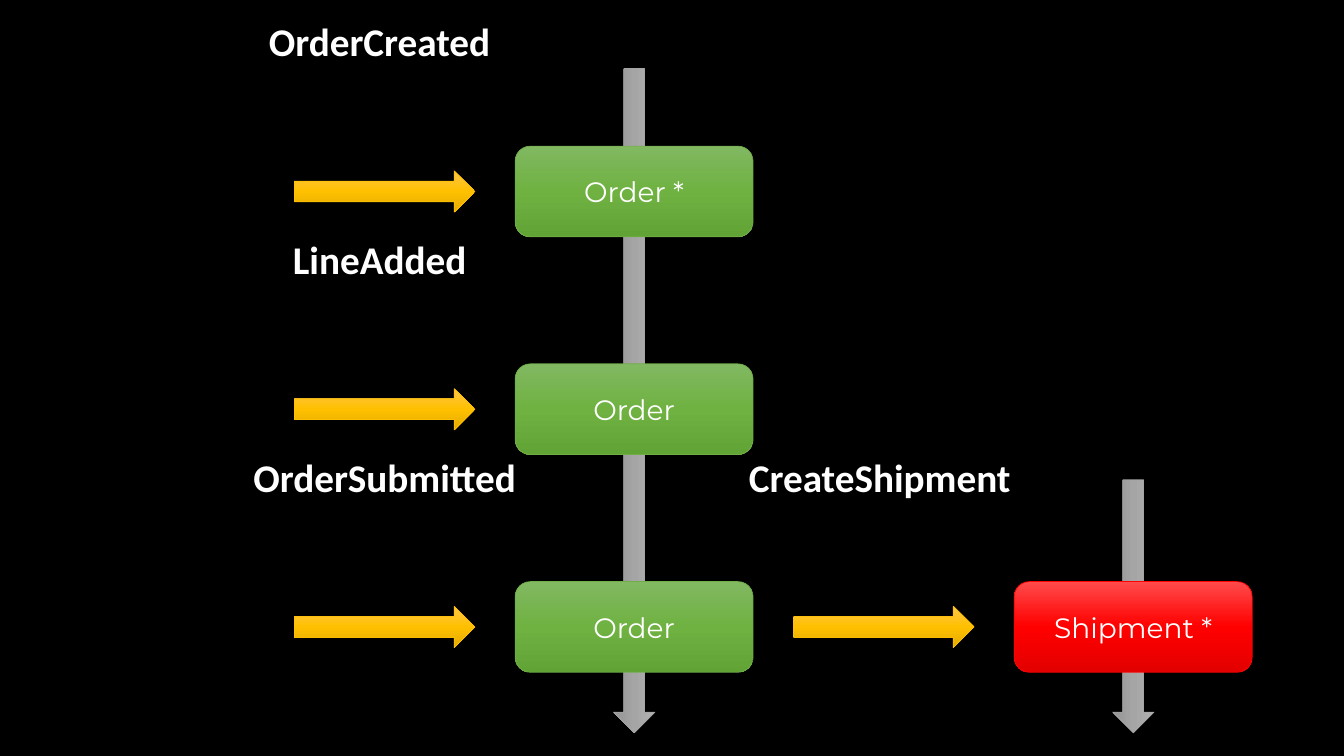
from lxml import etree
from pptx import Presentation
from pptx import util as u
from pptx.dml import color
from pptx.enum import shapes, text
from pptx.oxml import ns

HUES = {
    "back": "000000",
    "text": "FFFFFF",
    "life": ("AFAFAF", "A5A5A5", "939393", "A5A5A5"),
    "event": ("FFC64B", "FFC000", "E3AB00", "FFC000"),
    "order": ("81B861", "6FB242", "62A336", "70AD47"),
    "ship": ("FF4B4B", "FF0000", "E30000", "FF0000"),
}
WIDE, HIGH = 13.33, 7.5
COL, ROW = 4.95, 2.16  # grid pitch
LEFT, TOP = 6.29, 1.9  # centre of the first box
BOX = (2.36, 0.9)
ARROW = (1.79, 0.41)
FOOT = 7.27  # tip of the lifelines

# column, row, event, width and shift of its label, state, hue
STEPS = (
    (0, 0, "OrderCreated", 2.46, -0.05, "Order *", "order"),
    (0, 1, "LineAdded", 2.46, -0.05, "Order", "order"),
    (0, 2, "OrderSubmitted", 2.91, 0, "Order", "order"),
    (1, 2, "CreateShipment", 2.91, -0.04, "Shipment *", "ship"),
)


def rgb(name):
    return color.RGBColor.from_string(HUES[name])


def frame(x, y, size):
    """Turn a centre and a size into left, top, width and height."""
    wide, high = size
    return [u.Inches(n) for n in (x - wide / 2, y - high / 2, wide, high)]


def shade(shape, hue):
    """Give a vertical three-stop gradient and a thin line."""
    *stops, edge = HUES[hue]
    shape.shadow.inherit = False
    shape.line.color.rgb = color.RGBColor.from_string(edge)
    shape.line.width = u.Pt(0.5)
    shape.fill.gradient()
    grad = shape._element.spPr.find(ns.qn("a:gradFill"))
    for child in list(grad):
        grad.remove(child)
    grad.set("rotWithShape", "1")
    holder = etree.SubElement(grad, ns.qn("a:gsLst"))
    for i, stop in enumerate(stops):
        part = etree.SubElement(holder, ns.qn("a:gs"), pos=str(i * 50000))
        etree.SubElement(part, ns.qn("a:srgbClr"), val=stop)
    etree.SubElement(grad, ns.qn("a:lin"), ang="5400000", scaled="0")


def write(shape, words, **style):
    para = shape.text_frame.paragraphs[0]
    para.alignment = text.PP_ALIGN.CENTER
    run = para.add_run()
    run.text = words
    for key, value in style.items():
        setattr(run.font, key, value)
    run.font.color.rgb = rgb("text")


def arrow(slide, x, y, size, hue, turn=0):
    shape = slide.shapes.add_shape(
        shapes.MSO_SHAPE.RIGHT_ARROW, *frame(x, y, size))
    shape.rotation = turn
    shade(shape, hue)


def life(slide, x, top):
    """Draw a lifeline from top down to the foot."""
    arrow(slide, x, (top + FOOT) / 2, (FOOT - top, ARROW[1]), "life", 90)


def state(slide, x, y, words, hue):
    shape = slide.shapes.add_shape(
        shapes.MSO_SHAPE.ROUNDED_RECTANGLE, *frame(x, y, BOX))
    shade(shape, hue)
    shape.text_frame.vertical_anchor = text.MSO_ANCHOR.MIDDLE
    write(shape, words, name="Montserrat", size=u.Pt(20))


def label(slide, x, y, wide, words):
    shape = slide.shapes.add_textbox(*frame(x, y, (wide, 0.57)))
    shape.text_frame.word_wrap = False
    shape.text_frame.auto_size = text.MSO_AUTO_SIZE.SHAPE_TO_FIT_TEXT
    write(shape, words, name="Calibri", size=u.Pt(28), bold=True)


def step(slide, col, row, event, wide, shift, words, hue):
    """Place an event, its arrow and the state it leads to."""
    x, y = LEFT + col * COL, TOP + row * ROW
    mid = x - COL / 2
    arrow(slide, mid, y, ARROW, "event")
    label(slide, mid + shift, y - 1.49, wide, event)
    state(slide, x, y, words, hue)


def main():
    deck = Presentation()
    deck.slide_width, deck.slide_height = u.Inches(WIDE), u.Inches(HIGH)
    slide = deck.slides.add_slide(deck.slide_layouts[6])
    fill = slide.background.fill
    fill.solid()
    fill.fore_color.rgb = rgb("back")
    for col, top in enumerate((0.68, 4.76)):
        life(slide, LEFT + col * COL, top)
    for item in STEPS:
        step(slide, *item)
    deck.save("out.pptx")


if __name__ == "__main__":
    main()
